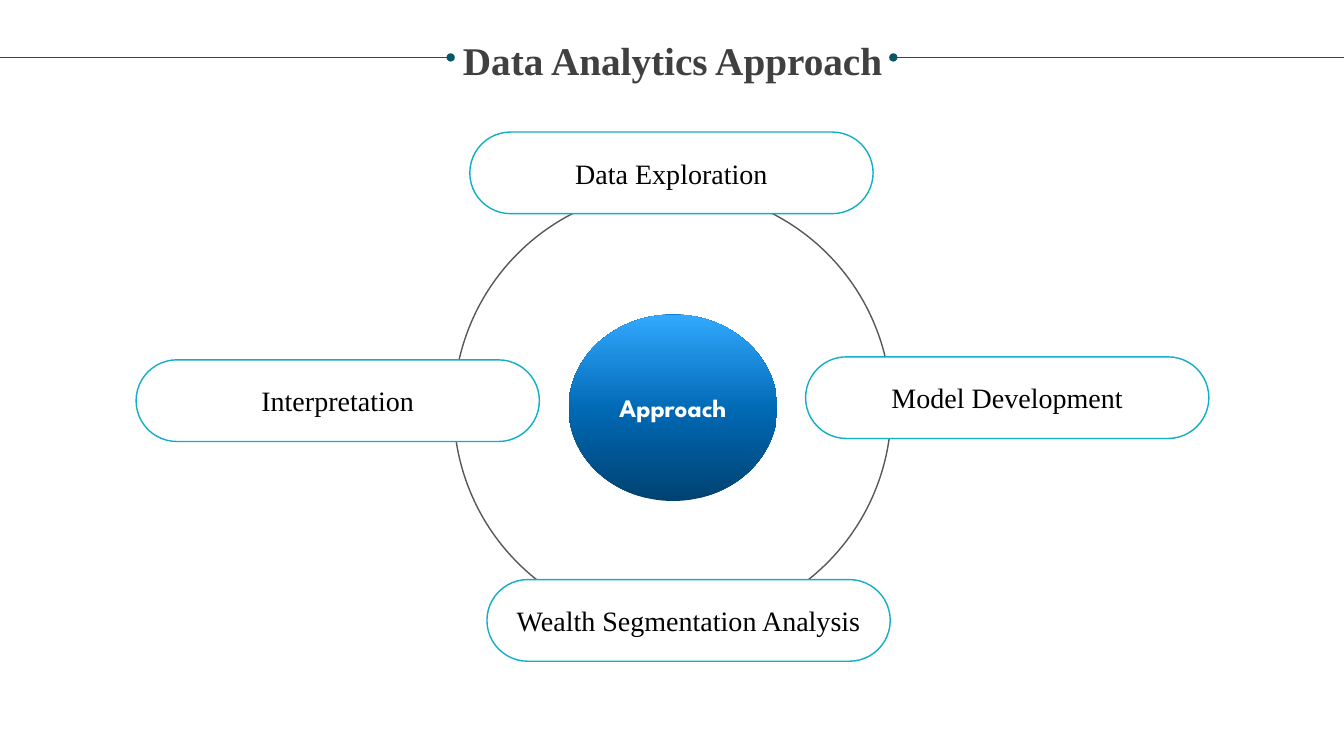
from copy import deepcopy

from pptx import Presentation
from pptx.dml.color import RGBColor
from pptx.enum.shapes import MSO_CONNECTOR, MSO_SHAPE
from pptx.enum.text import MSO_ANCHOR, PP_ALIGN
from pptx.oxml.ns import qn
from pptx.oxml.xmlchemy import OxmlElement
from pptx.util import Inches, Pt

SERIF = "Times New Roman"
STEP_WIDTH, STEP_HEIGHT = 4, 0.81
STEPS = [
    ("Model Development", 7.99, 3.54),
    ("Data Exploration", 4.66, 1.31),
    ("Interpretation", 1.35, 3.57),
    ("Wealth Segmentation Analysis", 4.83, 5.75),
]
HUB_GRADIENT = [(0, "004271"), (0.48, "0068B3"), (1, "32A9FF")]
RULE_TOP = 0.57


def color(value):
    return RGBColor.from_string(value)


def write_text(text_frame, text, font_name, size, text_color, bold=False):
    text_frame.word_wrap = True
    paragraph = text_frame.paragraphs[0]
    paragraph.alignment = PP_ALIGN.CENTER
    run = paragraph.add_run()
    run.text = text
    font_format = {"name": font_name, "size": Pt(size), "bold": bold}
    for name, value in font_format.items():
        setattr(run.font, name, value)
    run.font.color.rgb = color(text_color)
    return paragraph


def add_title(slide, text):
    title = slide.shapes.title
    box = {"left": 0.77, "top": 0.41, "width": 11.8, "height": 0.85}
    for name, value in box.items():
        setattr(title, name, Inches(value))
    text_frame = title.text_frame
    for side in ("left", "top", "right", "bottom"):
        setattr(text_frame, f"margin_{side}", 0)
    text_frame.vertical_anchor = MSO_ANCHOR.TOP
    paragraph = write_text(text_frame, text, SERIF, 28, "404040", bold=True)
    paragraph.line_spacing = 0.9
    paragraph.space_before = Pt(0)


def add_rule(slide, start, end, dot_end):
    rule = slide.shapes.add_connector(
        MSO_CONNECTOR.STRAIGHT,
        Inches(start), Inches(RULE_TOP), Inches(end), Inches(RULE_TOP),
    )
    rule.line.color.rgb = color("085764")
    rule.line.width = Pt(0.5)
    dot = OxmlElement(f"a:{dot_end}")
    dot.set("type", "oval")
    rule.line._get_or_add_ln().append(dot)
    rule._element.spPr.append(OxmlElement("a:effectLst"))


def add_outline(slide, kind, left, top, width, height, fill=None, line=None):
    shape = slide.shapes.add_shape(
        kind, Inches(left), Inches(top), Inches(width), Inches(height)
    )
    shape.shadow.inherit = False
    if fill:
        shape.fill.solid()
        shape.fill.fore_color.rgb = color(fill)
    else:
        shape.fill.background()
    if line:
        shape.line.color.rgb = color(line)
        shape.line.width = Pt(1)
    else:
        shape.line.fill.background()
    shape.text_frame.vertical_anchor = MSO_ANCHOR.MIDDLE
    return shape


def add_hub(slide, text):
    hub = add_outline(slide, MSO_SHAPE.OVAL, 5.64, 3.12, 2.07, 1.85)
    hub.fill.gradient()
    hub.fill.gradient_angle = 90
    stop_list = hub._element.spPr.find(f".//{qn('a:gsLst')}")
    stop_list.append(deepcopy(stop_list[0]))
    for stop, (position, value) in zip(hub.fill.gradient_stops, HUB_GRADIENT):
        stop.position = position
        stop.color.rgb = color(value)
    write_text(hub.text_frame, text, "League Spartan", 18, "FFFFFF", bold=True)


def add_step(slide, text, left, top):
    step = add_outline(
        slide, MSO_SHAPE.ROUNDED_RECTANGLE, left, top,
        STEP_WIDTH, STEP_HEIGHT, "FFFFFF", "11AEC7",
    )
    step.adjustments[0] = 0.5
    write_text(step.text_frame, text, SERIF, 20, "000000")


def main():
    presentation = Presentation()
    presentation.slide_width = Inches(13.33)
    presentation.slide_height = Inches(7.5)
    slide = presentation.slides.add_slide(presentation.slide_layouts[5])
    add_title(slide, "Data Analytics Approach")
    add_outline(slide, MSO_SHAPE.OVAL, 4.5, 1.88, 4.34, 4.34, line="585858")
    add_rule(slide, 8.86, 13.33, "headEnd")
    add_rule(slide, 0, 4.47, "tailEnd")
    add_hub(slide, "Approach")
    for text, left, top in STEPS:
        add_step(slide, text, left, top)
    presentation.save("out.pptx")


if __name__ == "__main__":
    main()
